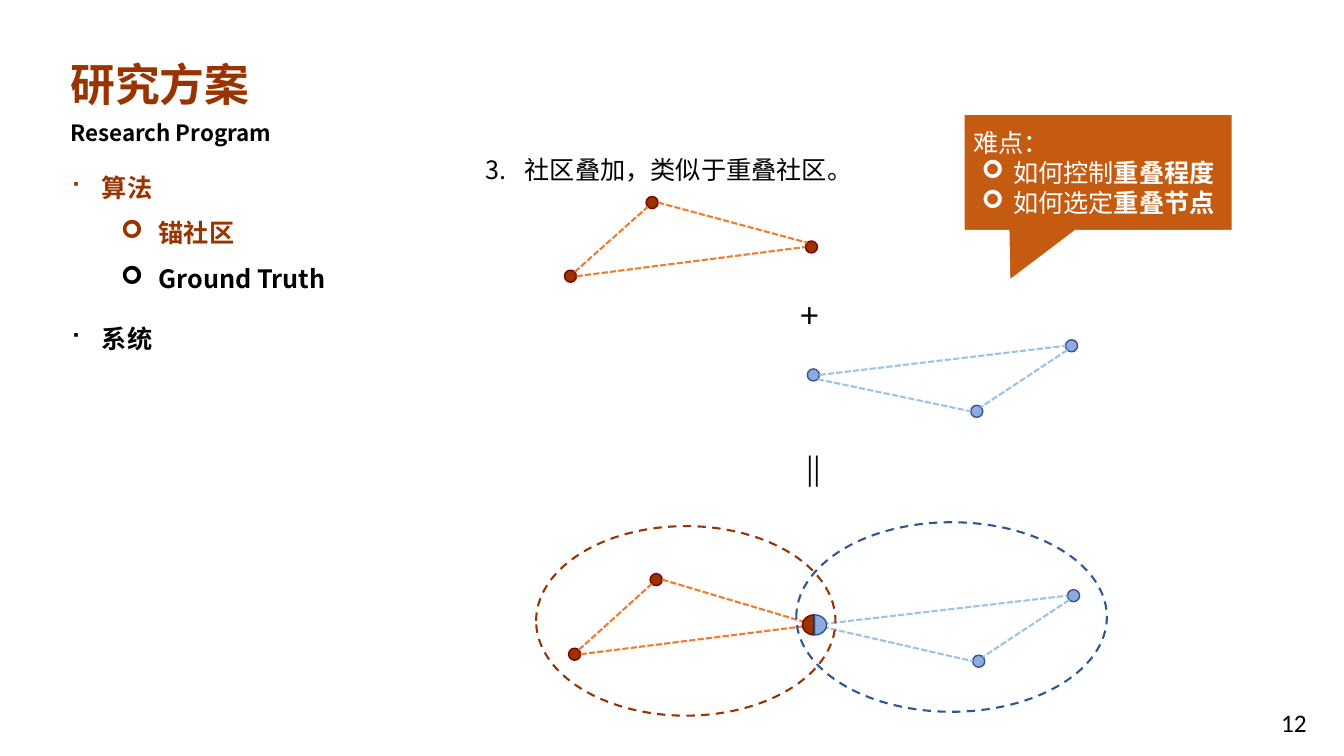
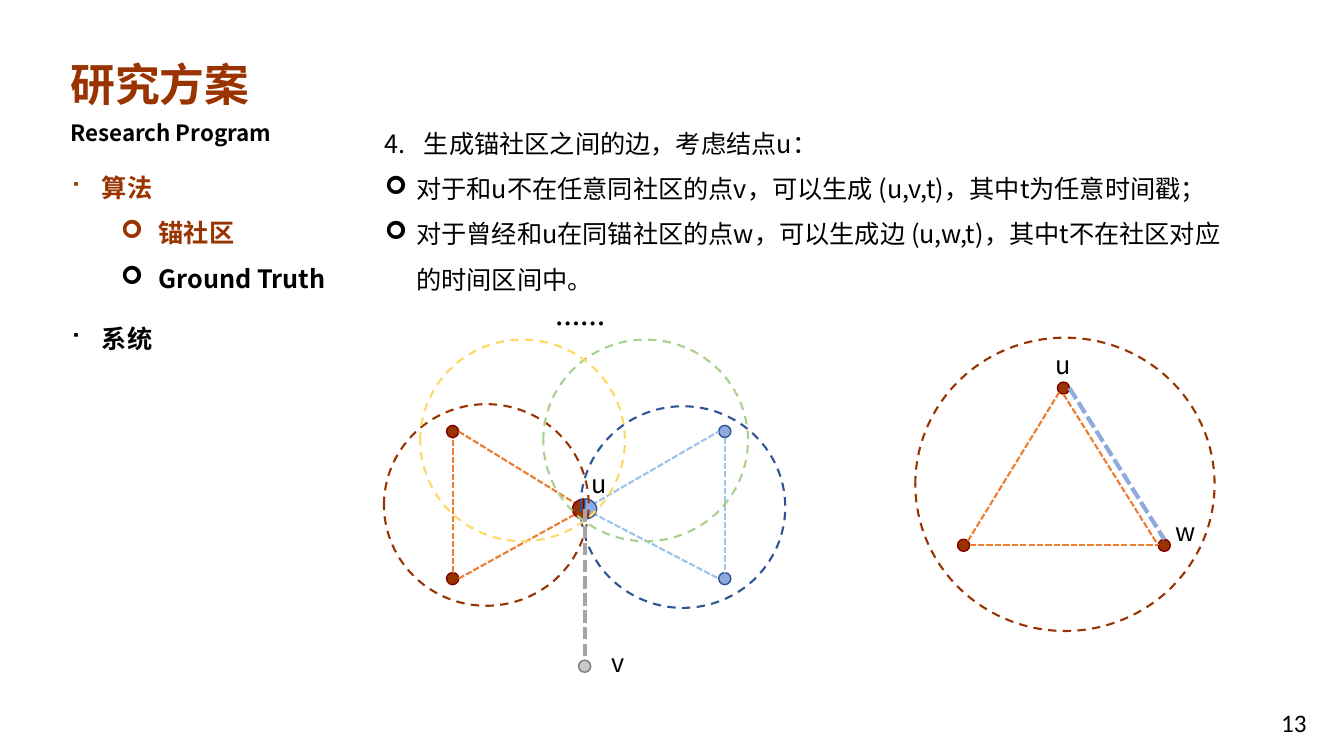
"""Build two research slides on stacking and linking anchor communities."""
from dataclasses import dataclass
from math import cos, pi, sin
from typing import Any, NamedTuple

from lxml import etree
from pptx import Presentation
from pptx import util as u
from pptx.dml.color import RGBColor
from pptx.enum import dml, shapes, text
from pptx.oxml.ns import qn

FACE = "Noto Sans CJK SC"
BLACK, WHITE, RUST, NAVY = "000000", "FFFFFF", "993300", "2F5597"
DOT = 8.64
DASH = dml.MSO_LINE.DASH
FINE = dml.MSO_LINE.SQUARE_DOT
SHAPE = shapes.MSO_SHAPE


class Run(NamedTuple):
    text: str
    hue: str = BLACK
    bold: bool = False
    size: float = 18
    face: str = FACE


@dataclass(frozen=True)
class Para:
    runs: tuple[Run, ...]
    left: float = 0
    hang: float = 0
    gap: float = 1
    mark: str = ""
    level: int = 0
    align: Any = text.PP_ALIGN.LEFT


class Box(NamedTuple):
    x: float
    y: float
    w: float
    h: float


class Node(NamedTuple):
    x: float
    y: float
    size: float = DOT

    def site(self, turn: int) -> tuple[float, float]:
        angle = turn * pi / 4
        half = self.size / 2
        return self.x - half * sin(angle), self.y - half * cos(angle)


class Edge(NamedTuple):
    start: int
    out: int
    end: int
    into: int


class Tone(NamedTuple):
    fill: str
    rim: str
    edge: str


class Ring(NamedTuple):
    box: Box
    hue: str


class Half(NamedTuple):
    tone: Tone
    turns: tuple[float, float]


RED = Tone(RUST, "800000", "ED7D31")
BLUE = Tone("8FAADC", NAVY, "9DC3E6")
GREY = Tone("C9C9C9", "7C7C7C", "A5A5A5")
HALVES = (Half(RED, (56.66, 159.75)), Half(BLUE, (162.98, 53.71)))
RED_WIDE = (Edge(1, 6, 0, 1), Edge(2, 7, 1, 3), Edge(2, 6, 0, 2))
BLUE_WIDE = (Edge(1, 3, 2, 7), Edge(0, 6, 1, 2), Edge(0, 5, 2, 2))
RED_TALL = (Edge(1, 6, 0, 2), Edge(2, 0, 1, 4), Edge(2, 6, 0, 2))
BLUE_TALL = (Edge(1, 4, 2, 0), Edge(0, 6, 1, 2), Edge(0, 6, 2, 2))
PEAK = (Edge(0, 4, 1, 2), Edge(2, 7, 0, 3), Edge(2, 6, 1, 2))

MENU = (
    Para((Run("算法", RUST, True),), 22.5, 22.5, mark="■"),
    Para((Run("锚社区", RUST, True),), 63, 27, 1.5, "➢", 1),
    Para((Run("Ground Truth", BLACK, True),), 63, 27, 1.5, "➢", 1),
    Para((Run("系统", BLACK, True),), 22.5, 22.5, 2, "■"),
)


def hue(code: str) -> RGBColor:
    return RGBColor.from_string(code)


def assign(item: Any, values: dict[str, Any]) -> None:
    for name, value in values.items():
        setattr(item, name, value)


def stroke(line: Any, code: str, width: float, dash: Any = None) -> None:
    line.color.rgb = hue(code)
    assign(line, {"width": u.Pt(width), "dash_style": dash})


def write(frame: Any, paras: tuple[Para, ...]) -> None:
    for spot, para in enumerate(paras):
        row = frame.paragraphs[0] if spot == 0 else frame.add_paragraph()
        assign(row, {"alignment": para.align, "level": para.level, "line_spacing": para.gap})
        props = row._p.get_or_add_pPr()
        props.set("marL", str(u.Pt(para.left)))
        props.set("indent", str(u.Pt(-para.hang)))
        if para.mark:
            etree.SubElement(props, qn("a:buFont")).set("typeface", "Wingdings")
            etree.SubElement(props, qn("a:buChar")).set("char", para.mark)
        for part in para.runs:
            run = row.add_run()
            run.text = part.text
            assign(run.font, {"size": u.Pt(part.size), "bold": part.bold, "name": part.face})
            run.font.color.rgb = hue(part.hue)
            etree.SubElement(run._r.get_or_add_rPr(), qn("a:ea")).set("typeface", part.face)


def label(slide: Any, box: Box, *paras: Para, wrap: bool = True) -> None:
    frame = slide.shapes.add_textbox(*map(u.Pt, box)).text_frame
    assign(frame, {"word_wrap": wrap, "auto_size": text.MSO_AUTO_SIZE.SHAPE_TO_FIT_TEXT})
    write(frame, paras)


def word(slide: Any, box: Box, *style: Any) -> None:
    label(slide, box, Para((Run(*style),)))


def form(slide: Any, kind: Any, box: Box, fill: str, rim: str, width: float = 1,
         dash: Any = None, turns: tuple[float, ...] = ()) -> Any:
    shape = slide.shapes.add_shape(kind, *map(u.Pt, box))
    shape.shadow.inherit = False
    if fill:
        shape.fill.solid()
        shape.fill.fore_color.rgb = hue(fill)
    else:
        shape.fill.background()
    stroke(shape.line, rim, width, dash)
    for spot, turn in enumerate(turns):
        shape.adjustments[spot] = turn
    return shape


def ring(slide: Any, item: Ring) -> None:
    form(slide, SHAPE.OVAL, item.box, "", item.hue, 1.5, DASH)


def dot(slide: Any, node: Node, tone: Tone) -> None:
    half = node.size / 2
    box = Box(node.x - half, node.y - half, node.size, node.size)
    form(slide, SHAPE.OVAL, box, tone.fill, tone.rim)


def link(slide: Any, start: tuple[float, float], end: tuple[float, float],
         code: str, width: float = 1.5) -> None:
    line = slide.shapes.add_connector(shapes.MSO_CONNECTOR.STRAIGHT, *map(u.Pt, start + end))
    stroke(line.line, code, width, FINE)
    etree.SubElement(line._element.spPr, qn("a:effectLst"))


def mesh(slide: Any, nodes: tuple[Node, ...], edges: tuple[Edge, ...], tone: Tone) -> None:
    for node in nodes:
        if node.size:
            dot(slide, node, tone)
    for edge in edges:
        start, end = nodes[edge.start], nodes[edge.end]
        link(slide, start.site(edge.out), end.site(edge.into), tone.edge)


def core(slide: Any, hub: Node) -> None:
    box = Box(hub.x - 8.64, hub.y - 7.2, 17.28, 14.4)
    for half in HALVES:
        form(slide, SHAPE.CHORD, box, half.tone.fill, half.tone.rim, turns=half.turns)


def base(deck: Any, page: str) -> Any:
    slide = deck.slides.add_slide(deck.slide_layouts[6])
    word(slide, Box(43.2, 81.4, 243.4, 26.6), "Research Program", BLACK, True, 16)
    title = Para((Run("研究方案", RUST, True, 32),))
    label(slide, Box(43.2, 36.7, 144, 46), title, wrap=False)
    label(slide, Box(43.2, 119.5, 214.6, 131.8), *MENU)
    word(slide, Box(908, 501.8, 38.9, 28.8), page, BLACK, False, 18, "Calibri")
    return slide


def stack(deck: Any) -> None:
    slide = base(deck, "12")
    label(slide, Box(339.8, 85, 307.4, 44.6),
          Para((Run("3.\t社区叠加，类似于重叠社区。"),), 28, 28, 2))
    mesh(slide, (Node(579.6, 176.4), Node(465.8, 144.7), Node(407.5, 197.3)), RED_WIDE, RED)
    word(slide, Box(564.5, 207.4, 33.1, 36), "+", BLACK, False, 24)
    mesh(slide, (Node(581, 267.8), Node(765.4, 247), Node(697.7, 293.8)), BLUE_WIDE, BLUE)
    word(slide, Box(568.8, 319, 33.1, 31.7), "||", BLACK, False, 20)

    hub = Node(581.8, 446.4, 0)
    mesh(slide, (hub, Node(468.7, 414), Node(410.4, 467.3)), RED_WIDE, RED)
    mesh(slide, (hub, Node(766.8, 425.5), Node(699.1, 472.3)), BLUE_WIDE, BLUE)
    core(slide, hub)
    for item in (Ring(Box(383, 375.8, 213.8, 135.4), RUST),
                 Ring(Box(568.8, 373, 221.8, 135.4), NAVY)):
        ring(slide, item)

    note = form(slide, SHAPE.RECTANGULAR_CALLOUT, Box(688.3, 81.4, 192.2, 83.5),
                "C55A11", WHITE, 1.5, turns=(-0.33, 0.93))
    assign(note.text_frame, {"word_wrap": True, "vertical_anchor": text.MSO_ANCHOR.MIDDLE})
    points = (("如何控制", "重叠程度"), ("如何选定", "重叠节点"))
    write(note.text_frame, (Para((Run("难点：", WHITE),)),) + tuple(
        Para((Run(lead, WHITE), Run(key, WHITE, True)), 22.5, 22.5, mark="➢",
             align=text.PP_ALIGN.CENTER) for lead, key in points))


def join(deck: Any) -> None:
    slide = base(deck, "13")
    rules = ("对于和u不在任意同社区的点v，可以生成 (u,v,t)，其中t为任意时间戳；",
             "对于曾经和u在同锚社区的点w，可以生成边 (u,w,t)，其中t不在社区对应的时间区间中。")
    label(slide, Box(267.8, 77, 623.5, 134.6),
          Para((Run("4.\t生成锚社区之间的边，考虑结点u："),), 28, 28, 1.5),
          *(Para((Run(rule),), 22.5, 22.5, 1.5, "➢") for rule in rules))

    peak = (Node(759.6, 277.2), Node(831.6, 389.5), Node(688.3, 389.5))
    mesh(slide, peak, PEAK, RED)
    ring(slide, Ring(Box(653.8, 241.2, 213.8, 209.5), RUST))
    link(slide, peak[0].site(6), peak[1].site(0), BLUE.fill, 3)

    hub = Node(417.6, 363.6, 0)
    high, low = 308.2, 413.3
    mesh(slide, (hub, Node(323.3, high), Node(323.3, low)), RED_TALL, RED)
    mesh(slide, (hub, Node(517.7, high), Node(517.7, low)), BLUE_TALL, BLUE)
    core(slide, hub)
    for x, y, code in ((274.3, 288.7, RUST), (414.7, 290.2, NAVY),
                       (388.1, 242.6, "A9D18E"), (300.2, 242.6, "FFD966")):
        ring(slide, Ring(Box(x, y, 146.2, 144), code))
    lone = Node(hub.x, 475.9)
    dot(slide, lone, GREY)
    link(slide, hub.site(0), lone.site(0), GREY.edge, 3)
    word(slide, Box(389.5, 216.7, 123.8, 28.8), "……", BLACK, True)
    for name, x, y in (("u", 746.6, 246.2), ("w", 832.3, 365),
                       ("u", 415.4, 331.2), ("v", 429.8, 458.6)):
        word(slide, Box(x, y, 26.6, 28.8), name)


def main() -> None:
    deck = Presentation()
    assign(deck, {"slide_width": u.Pt(960), "slide_height": u.Pt(540)})
    stack(deck)
    join(deck)
    deck.save("out.pptx")


if __name__ == "__main__":
    main()
